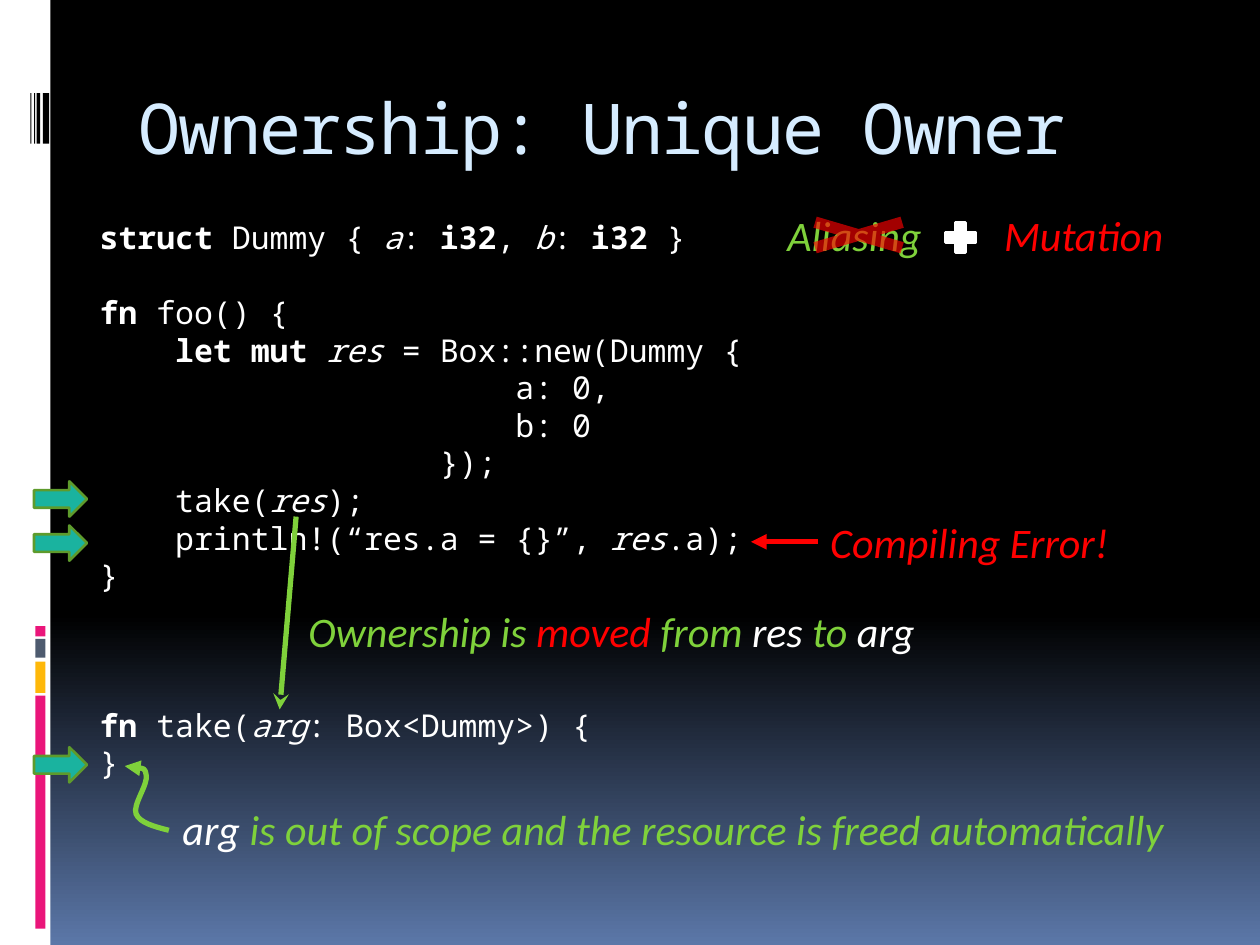
from dataclasses import dataclass
from typing import NamedTuple, Optional

from lxml.etree import SubElement
from pptx import Presentation
from pptx.dml.color import RGBColor
from pptx.enum.shapes import MSO_CONNECTOR as Connector, MSO_SHAPE as Preset
from pptx.enum.text import MSO_ANCHOR as Anchor, MSO_AUTO_SIZE as AutoSize, PP_ALIGN as Align
from pptx.oxml.ns import qn
from pptx.util import Inches, Pt

BLACK = RGBColor(0x00, 0x00, 0x00)
WHITE = RGBColor(0xFF, 0xFF, 0xFF)
RED = RGBColor(0xFF, 0x00, 0x00)
GREEN = RGBColor(0x7F, 0xD1, 0x3B)
DARK_GREEN = RGBColor(0x5E, 0x9B, 0x2C)
TEAL = RGBColor(0x1A, 0xB3, 0x9F)
PINK = RGBColor(0xEA, 0x15, 0x7A)
AMBER = RGBColor(0xFE, 0xB8, 0x0A)
SLATE = RGBColor(0x4E, 0x5B, 0x6F)
SKY = RGBColor(0x5B, 0x77, 0xA8)
PALE_BLUE = RGBColor(0xD6, 0xEC, 0xFF)

COLUMNS, ROWS = 100, 75
CELL = Inches(10) // COLUMNS
CODE_FONT, LABEL_FONT = "Noto Sans Mono", "Calibri"
CODE_CHARACTER = Inches(0.15)
CODE_PITCH = 21.5


class Area(NamedTuple):
    column: float
    row: float
    columns: float
    rows: float


class Segment(NamedTuple):
    text: str
    color: RGBColor = WHITE
    bold: bool = False
    italic: bool = False


@dataclass
class CodeLine:
    segments: list[Segment]
    indent: int = 0
    space_before: float = 0


@dataclass
class Label:
    area: Area
    segments: list[Segment]


def cells(*values: float) -> list[int]:
    return [round(value * CELL) for value in values]


def bold(text: str) -> Segment:
    return Segment(text, bold=True)


def italic(text: str, color: RGBColor = WHITE) -> Segment:
    return Segment(text, color, italic=True)


def place(shape, area: Area) -> None:
    shape.left, shape.top, shape.width, shape.height = cells(*area)


def add_segments(paragraph, segments: list[Segment], font: str, size: float) -> None:
    for segment in segments:
        run = paragraph.add_run()
        run.text = segment.text
        run.font.name, run.font.size = font, Pt(size)
        run.font.bold, run.font.italic = segment.bold, segment.italic
        run.font.color.rgb = segment.color


def draw_shape(slide, preset: Preset, area: Area, fill: RGBColor,
               line: Optional[RGBColor] = None):
    shape = slide.shapes.add_shape(preset, *cells(*area))
    shape.shadow.inherit = False
    shape.fill.solid()
    shape.fill.fore_color.rgb = fill
    if line is None:
        shape.line.fill.background()
    else:
        shape.line.color.rgb = line
        shape.line.width = Pt(1.5)
    return shape


def draw_label(slide, label: Label):
    box = slide.shapes.add_textbox(*cells(*label.area))
    box.text_frame.word_wrap = False
    add_segments(box.text_frame.paragraphs[0], label.segments, LABEL_FONT, 24)
    return box


def style_arrow(shape, color: RGBColor, head: str) -> None:
    shape.line.color.rgb = color
    shape.line.width = Pt(3)
    SubElement(shape.line._get_or_add_ln(), qn("a:tailEnd"), type=head)


def draw_arrow(slide, start: tuple, end: tuple, color: RGBColor, head: str):
    arrow = slide.shapes.add_connector(Connector.STRAIGHT, *cells(*start, *end))
    style_arrow(arrow, color, head)
    SubElement(arrow._element.spPr, qn("a:effectLst"))
    return arrow


def draw_curve(slide, start: tuple, points: list[tuple], color: RGBColor) -> None:
    builder = slide.shapes.build_freeform(*cells(*start))
    builder.add_line_segments([cells(*point) for point in points], close=False)
    curve = builder.convert_to_shape()
    curve.shadow.inherit = False
    curve.fill.background()
    segments = list(curve._element.iter(qn("a:lnTo")))
    outline = segments[0].getparent()
    for index, segment in enumerate(segments):
        if index % 3 == 0:
            bezier = SubElement(outline, qn("a:cubicBezTo"))
        bezier.append(segment[0])
        outline.remove(segment)
    style_arrow(curve, color, "triangle")


def fill_background(slide) -> None:
    fill = slide.background.fill
    fill.gradient()
    fill.gradient_angle = 270
    for stop, position, color in zip(fill.gradient_stops, (0.65, 1), (BLACK, SKY)):
        stop.position = position
        stop.color.rgb = color


def write_title(title, area: Area, text: str) -> None:
    place(title, area)
    frame = title.text_frame
    frame.auto_size, frame.vertical_anchor = AutoSize.NONE, Anchor.TOP
    paragraph = frame.paragraphs[0]
    paragraph.alignment, paragraph.line_spacing = Align.LEFT, Pt(52.4)
    add_segments(paragraph, [Segment(text, PALE_BLUE)], CODE_FONT, 40)
    paragraph.runs[0].font._element.set("spc", "-100")


def write_code(body, area: Area, lines: list[CodeLine]) -> None:
    place(body, area)
    frame = body.text_frame
    frame.auto_size, frame.vertical_anchor = AutoSize.NONE, Anchor.TOP
    for index, line in enumerate(lines):
        paragraph = frame.add_paragraph() if index else frame.paragraphs[0]
        paragraph.line_spacing = Pt(CODE_PITCH)
        paragraph.space_before, paragraph.space_after = Pt(line.space_before), Pt(0)
        properties = paragraph._p.get_or_add_pPr()
        properties.set("marL", str(line.indent * CODE_CHARACTER))
        properties.set("indent", "0")
        SubElement(properties, qn("a:buNone"))
        add_segments(paragraph, line.segments, CODE_FONT, 18)


SIDEBAR = [
    (Area(0, 0, 4, ROWS), WHITE),
    (Area(2.8, 55.2, 0.8, 18.5), PINK), (Area(2.8, 52.5, 0.8, 2.5), AMBER),
    (Area(2.8, 50.7, 0.8, 1.5), SLATE), (Area(2.8, 49.7, 0.8, 0.8), PINK),
    *[(Area(column, 7.4, width, 4), BLACK)
      for column, width in ((3.4, 0.5), (2.9, 0.3), (2.7, 0.1), (2.4, 0.1))],
]
CODE = [
    CodeLine([bold("struct "), Segment("Dummy { "), italic("a"), Segment(": "), bold("i32"),
              Segment(", "), italic("b"), Segment(": "), bold("i32"), Segment(" }")]),
    CodeLine([bold("fn "), Segment("foo() {")], space_before=CODE_PITCH),
    CodeLine([bold("let mut "), italic("res"), Segment(" = Box::new(Dummy {")], 4),
    CodeLine([Segment("a: 0,")], 22),
    CodeLine([Segment("b: 0")], 22),
    CodeLine([Segment("});")], 18),
    CodeLine([Segment("take("), italic("res"), Segment(");")], 4),
    CodeLine([Segment("println!(“res.a = {}”, "), italic("res"), Segment(".a);")], 4),
    CodeLine([Segment("}")]),
    CodeLine([bold("fn"), Segment(" take("), italic("arg"), Segment(": Box<Dummy>) {")],
             space_before=64),
    CodeLine([Segment("}")]),
]
LABELS = [
    Label(Area(23.5, 47.6, 50.7, 5),
          [italic("Ownership is ", GREEN), italic("moved ", RED), italic("from ", GREEN),
           italic("res"), italic(" to ", GREEN), italic("arg")]),
    Label(Area(13.5, 63.3, 80, 5),
          [italic("arg"),
           italic(" is out of scope and the resource is freed automatically", GREEN)]),
    Label(Area(61.5, 16.1, 12.8, 5), [italic("Aliasing", GREEN)]),
    Label(Area(78.7, 16.1, 14.8, 5), [italic("Mutation", RED)]),
]
ERROR_LABEL = Label(Area(64.9, 40.5, 24.4, 5), [italic("Compiling Error!", RED)])
STEP_ROWS = (38.2, 41.7, 59.3)
SCOPE_CURVE = [(12.2, 65.6), (11.1, 65.3), (10.8, 64.6), (10.5, 63.9), (11.8, 62.2),
               (11.6, 61.5), (11.5, 60.9), (10.7, 60.8), (9.9, 60.8)]


def main() -> None:
    presentation = Presentation()
    presentation.slide_width, presentation.slide_height = cells(COLUMNS, ROWS)
    slide = presentation.slides.add_slide(presentation.slide_layouts[1])
    fill_background(slide)
    for area, color in SIDEBAR:
        draw_shape(slide, Preset.RECTANGLE, area, color)
    title, body = slide.placeholders
    write_title(title, Area(10, 5.6, 85, 10), "Ownership: Unique Owner")
    write_code(body, Area(6.9, 16.8, 82.4, 46.4), CODE)
    draw_arrow(slide, (23.5, 41), (22.2, 56.3), GREEN, "stealth")
    for row in STEP_ROWS:
        draw_shape(slide, Preset.RIGHT_ARROW, Area(2.7, row, 4.2, 2.8), TEAL, DARK_GREEN)
    for label in LABELS:
        draw_label(slide, label)
    draw_curve(slide, (13.4, 65.9), SCOPE_CURVE, GREEN)
    error_box = draw_label(slide, ERROR_LABEL)
    error_arrow = draw_arrow(slide, (64.9, 43), (59.6, 43), RED, "triangle")
    error_arrow.begin_connect(error_box, 1)
    draw_shape(slide, Preset.MATH_PLUS, Area(74.6, 17.2, 3.3, 3.3), WHITE, WHITE)
    cross = draw_shape(slide, Preset.MATH_MULTIPLY, Area(61.5, 16.7, 13.3, 3.9), RED)
    SubElement(cross.fill._xPr.find(qn("a:solidFill"))[0], qn("a:alpha"), val="64000")
    presentation.save("out.pptx")


if __name__ == "__main__":
    main()
